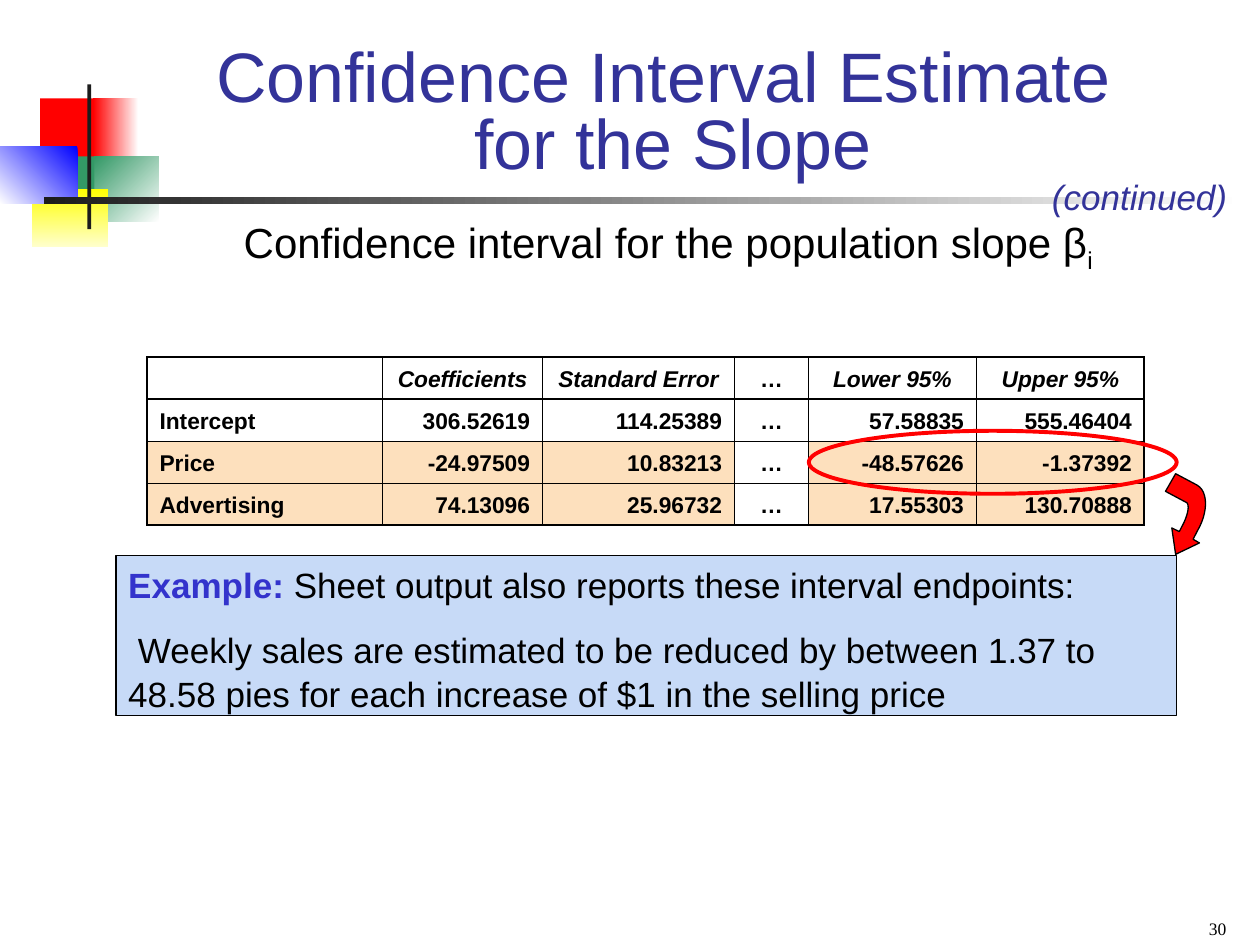
from lxml.etree import SubElement
from pptx import Presentation
from pptx.dml.color import RGBColor
from pptx.enum.shapes import MSO_SHAPE
from pptx.enum.text import MSO_ANCHOR, PP_ALIGN
from pptx.oxml.ns import qn
from pptx.util import Pt

BLACK = RGBColor(0x00, 0x00, 0x00)
CHARCOAL = RGBColor(0x1C, 0x1C, 0x1C)
WHITE = RGBColor(0xFF, 0xFF, 0xFF)
RED = RGBColor(0xFF, 0x00, 0x00)
GREEN = RGBColor(0x33, 0x99, 0x66)
YELLOW = RGBColor(0xFF, 0xFF, 0x00)
PALE_YELLOW = RGBColor(0xFF, 0xFF, 0xCC)
BLUE = RGBColor(0x00, 0x00, 0xFF)
NAVY = RGBColor(0x33, 0x33, 0x99)
INDIGO = RGBColor(0x33, 0x33, 0xCC)
PALE_BLUE = RGBColor(0xC7, 0xDA, 0xF7)
PEACH = RGBColor(0xFD, 0xE0, 0xBD)

# Left, top, width, height, colours from start to end, counter-clockwise angle
DECORATION = [
    (23, 56.2, 34.6, 37.4, [RED], 0),
    (53.3, 56.2, 25.9, 37.4, [WHITE, RED], 180),
    (54, 89.3, 36.7, 37.4, [WHITE, GREEN], 135),
    (31, 89.3, 23, 37.4, [GREEN], 0),
    (18, 108, 43.9, 33.1, [YELLOW, PALE_YELLOW], 270),
    (0, 83.5, 44.2, 33.1, [BLUE, WHITE], 225),
    (49.9, 48.2, 2.2, 82.8, [CHARCOAL], 0),
    (25.2, 112.5, 684.7, 4.1, [WHITE, CHARCOAL], 180),
]

COLUMN_WIDTHS = [134.6, 91.4, 109.7, 42.3, 96, 96]
ROW_HEIGHT = 24
ELLIPSIS_COLUMN = 3
REGRESSION = [
    ["", "Coefficients", "Standard Error", "…", "Lower 95%", "Upper 95%"],
    ["Intercept", "306.52619", "114.25389", "…", "57.58835", "555.46404"],
    ["Price", "-24.97509", "10.83213", "…", "-48.57626", "-1.37392"],
    ["Advertising", "74.13096", "25.96732", "…", "17.55303", "130.70888"],
]


def set_font(font, size, color, name="Arial", bold=False, italic=False):
    font.name = name
    font.size = Pt(size)
    font.bold = bold
    font.italic = italic
    font.color.rgb = color


def set_outline(shape, color, width):
    shape.line.color.rgb = color
    shape.line.width = Pt(width)


def add_preset(slide, kind, left, top, width, height):
    shape = slide.shapes.add_shape(kind, Pt(left), Pt(top), Pt(width), Pt(height))
    shape.shadow.inherit = False
    return shape


def add_decoration(slide):
    for left, top, width, height, colors, angle in DECORATION:
        block = add_preset(slide, MSO_SHAPE.RECTANGLE, left, top, width, height)
        block.line.fill.background()
        if len(colors) == 1:
            block.fill.solid()
            block.fill.fore_color.rgb = colors[0]
        else:
            block.fill.gradient()
            block.fill.gradient_angle = angle
            for stop, color in zip(block.fill.gradient_stops, colors):
                stop.color.rgb = color


def add_title(slide):
    title = slide.shapes.title
    title.left, title.top, title.width, title.height = Pt(77.8), Pt(23.8), Pt(613.4), Pt(84.2)
    frame = title.text_frame
    frame.text = "Confidence Interval Estimate \vfor the Slope"
    frame.vertical_anchor = MSO_ANCHOR.BOTTOM
    paragraph = frame.paragraphs[0]
    paragraph.alignment = PP_ALIGN.CENTER
    paragraph.line_spacing = 0.8
    set_font(paragraph.font, 40, NAVY)


def add_text(slide, left, top, width, height, text, align=PP_ALIGN.LEFT, wrap=True, **font):
    box = slide.shapes.add_textbox(Pt(left), Pt(top), Pt(width), Pt(height))
    frame = box.text_frame
    frame.word_wrap = wrap
    paragraph = frame.paragraphs[0]
    paragraph.alignment = align
    paragraph.add_run().text = text
    set_font(paragraph.font, **font)
    return frame


def add_slope_heading(slide):
    heading = add_text(slide, 95.8, 120.2, 576, 39.6,
                       "Confidence interval for the population slope β",
                       PP_ALIGN.CENTER, size=24, color=BLACK)
    subscript = heading.paragraphs[0].add_run()
    subscript.text = "i "
    subscript.font._element.set("baseline", "-25000")


def add_example(slide):
    example = add_preset(slide, MSO_SHAPE.RECTANGLE, 66.2, 317.5, 606.2, 91.4)
    example.fill.solid()
    example.fill.fore_color.rgb = PALE_BLUE
    set_outline(example, BLACK, 1)
    frame = example.text_frame
    frame.word_wrap = True
    frame.vertical_anchor = MSO_ANCHOR.TOP
    intro, finding = frame.paragraphs[0], frame.add_paragraph()
    label, statement = intro.add_run(), intro.add_run()
    label.text = "Example:"
    statement.text = " Sheet output also reports these interval endpoints:"
    finding.text = (" Weekly sales are estimated to be reduced by between 1.37 to "
                    "48.58 pies for each increase of $1 in the selling price")
    finding.space_before = Pt(12.5)
    for paragraph in (intro, finding):
        paragraph.alignment = PP_ALIGN.LEFT
        paragraph.line_spacing = 1.04
        set_font(paragraph.font, 20, BLACK)
    label.font.bold = True
    label.font.color.rgb = INDIGO


def set_borders(cell, widths):
    """Draw black cell borders; widths maps L, R, T and B, in that order, to points."""
    properties = cell._tc.get_or_add_tcPr()
    for side, width in widths.items():
        line = SubElement(properties, qn(f"a:ln{side}"), w=str(Pt(width)))
        fill = SubElement(line, qn("a:solidFill"))
        SubElement(fill, qn("a:srgbClr"), val=str(BLACK))


def cell_alignment(row, column):
    if row == 0 or column == ELLIPSIS_COLUMN:
        return PP_ALIGN.CENTER
    return PP_ALIGN.LEFT if column == 0 else PP_ALIGN.RIGHT


def add_regression_table(slide):
    last_row, last_column = len(REGRESSION) - 1, len(COLUMN_WIDTHS) - 1
    table = slide.shapes.add_table(
        last_row + 1, last_column + 1, Pt(84), Pt(204),
        Pt(sum(COLUMN_WIDTHS)), Pt(ROW_HEIGHT * len(REGRESSION))).table
    table.first_row = table.horz_banding = False
    for column, width in zip(table.columns, COLUMN_WIDTHS):
        column.width = Pt(width)
    horizontal_rules = [1.08, 0.75, 0.45, 0.45, 1.08]
    for r, values in enumerate(REGRESSION):
        table.rows[r].height = Pt(ROW_HEIGHT)
        for c, value in enumerate(values):
            cell = table.cell(r, c)
            cell.vertical_anchor = MSO_ANCHOR.BOTTOM
            set_borders(cell, {"L": 1.08 if c == 0 else 0.45,
                               "R": 1.08 if c == last_column else 0.45,
                               "T": horizontal_rules[r], "B": horizontal_rules[r + 1]})
            if r >= 2 and c != ELLIPSIS_COLUMN:
                cell.fill.solid()
                cell.fill.fore_color.rgb = PEACH
            else:
                cell.fill.background()
            paragraph = cell.text_frame.paragraphs[0]
            paragraph.alignment = cell_alignment(r, c)
            set_font(paragraph.font, 13, BLACK, bold=True,
                     italic=r == 0 and c != ELLIPSIS_COLUMN)
            if value:
                paragraph.add_run().text = value
            else:
                SubElement(paragraph._p, qn("a:endParaRPr"), sz="1300")


def add_price_highlight(slide):
    ring = add_preset(slide, MSO_SHAPE.OVAL, 462.2, 246.2, 210.2, 36)
    ring.fill.background()
    set_outline(ring, RED, 2.25)


def curve(start, control1, control2, end, steps=12):
    """Return points along a cubic Bézier curve, both ends included."""
    return [tuple((1 - t) ** 3 * a + 3 * (1 - t) ** 2 * t * b + 3 * (1 - t) * t ** 2 * c + t ** 3 * d
                  for a, b, c, d in zip(start, control1, control2, end))
            for t in (step / steps for step in range(steps + 1))]


def add_curved_arrow(slide):
    outer = curve((684, 277.2), (690.5, 280.8), (690.5, 293), (684, 303.8))
    head = [(681.8, 308.2), (685.4, 310.3), (671.8, 316.8), (669.6, 301.7), (673.9, 303.8)]
    inner = curve((676.1, 299.5), (679, 293.8), (679.7, 288.7), (678.2, 287.3))
    outline = [(Pt(x), Pt(y)) for x, y in outer + head + inner + [(666, 280.8)]]
    builder = slide.shapes.build_freeform(Pt(671.8), Pt(270.7))
    builder.add_line_segments(outline, close=True)
    arrow = builder.convert_to_shape()
    arrow.shadow.inherit = False
    arrow.fill.solid()
    arrow.fill.fore_color.rgb = RED
    set_outline(arrow, BLACK, 0.75)


def main():
    presentation = Presentation()
    presentation.slide_width, presentation.slide_height = Pt(720), Pt(540)
    slide = presentation.slides.add_slide(presentation.slide_layouts[5])
    add_decoration(slide)
    add_title(slide)
    add_slope_heading(slide)
    add_example(slide)
    add_regression_table(slide)
    add_price_highlight(slide)
    add_curved_arrow(slide)
    add_text(slide, 594, 96.5, 114.5, 31.7, "(continued)", wrap=False,
             size=20, color=NAVY, italic=True)
    page_number = add_text(slide, 540, 514.8, 167.8, 25.2, "30", PP_ALIGN.RIGHT,
                           size=10, color=BLACK, name="Times New Roman")
    page_number.vertical_anchor = MSO_ANCHOR.BOTTOM
    presentation.save("out.pptx")


if __name__ == "__main__":
    main()
